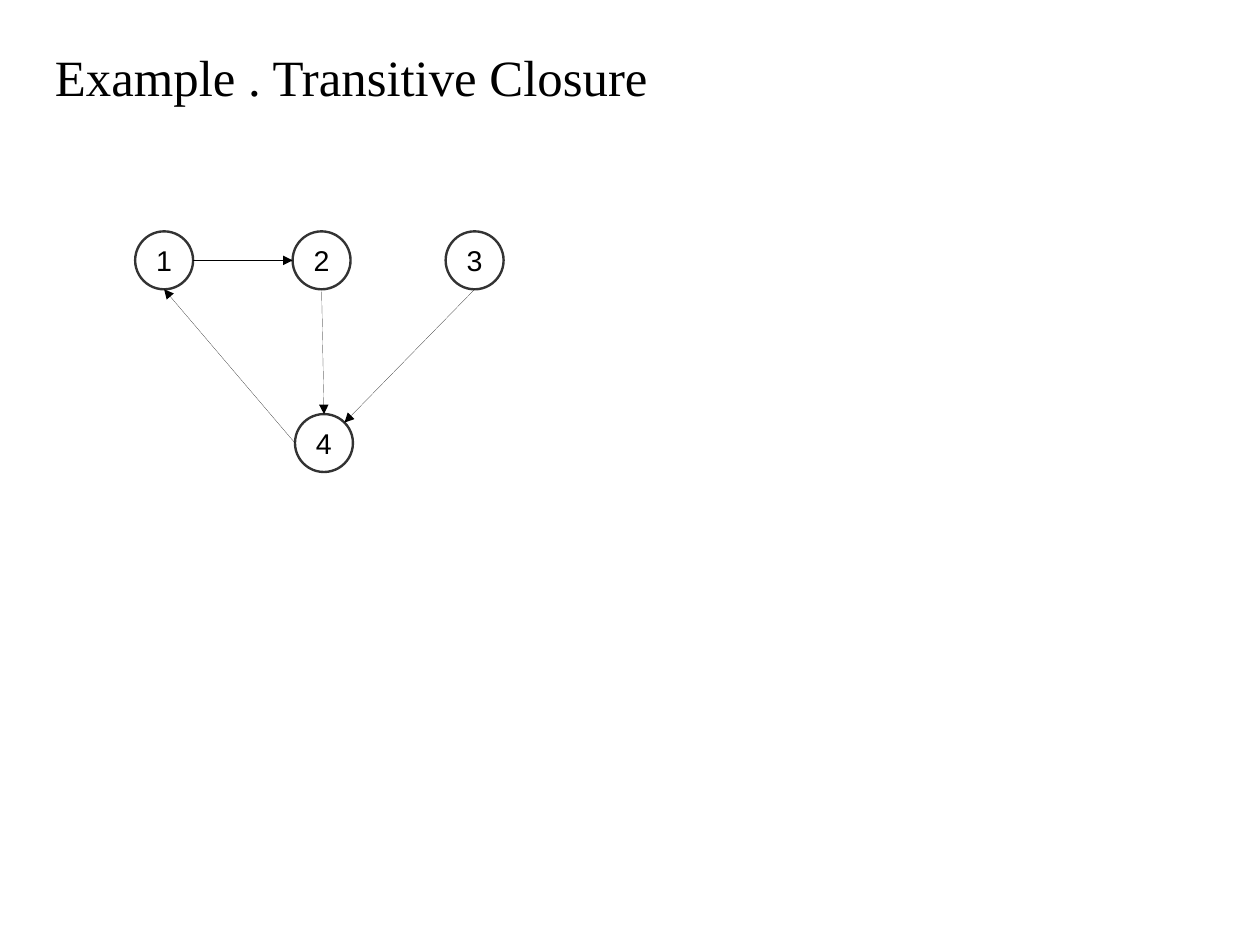
"""Builds a slide showing a directed graph as a transitive closure example."""
import math
from dataclasses import dataclass

import lxml.etree
import pptx
import pptx.dml.color
import pptx.enum.shapes
import pptx.enum.text
import pptx.oxml.ns
import pptx.util

Pt = pptx.util.Pt
RGB = pptx.dml.color.RGBColor

TITLE = "Example . Transitive Closure"
NODE_CENTERS = {
    "1": (103.4, 164),
    "2": (202.6, 164),
    "3": (299, 164),
    "4": (204.1, 279.1),
}
EDGES = [
    ("1", "right", "2", "left"),
    ("2", "bottom", "4", "top"),
    ("3", "bottom", "4", "top right"),
    ("4", "left", "1", "bottom"),
]
SIDE_ANGLES = {"right": 0, "bottom": 90, "left": 180, "top": 270, "top right": 315}
SLIDE_SIZE = (793.7, 595.28)
TITLE_BOX = (34.6, 23.8, 714.2, 48.2)
NODE_SIZE = 36.5


@dataclass(frozen=True)
class Theme:
    ink: RGB = RGB(0, 0, 0)
    outline: RGB = RGB(0x33, 0x33, 0x33)
    title_font: str = "Times New Roman"
    node_font: str = "Arial"
    title_size: int = 32
    node_size: int = 18
    outline_width: float = 1.5
    edge_width: int = 0


THEME = Theme()


def write_text(shape, text, font, size, align, wrap):
    frame = shape.text_frame
    frame.text = text
    frame.word_wrap = wrap
    frame.vertical_anchor = pptx.enum.text.MSO_ANCHOR.MIDDLE
    para = frame.paragraphs[0]
    para.alignment = align
    span = para.runs[0]
    span.font.name = font
    span.font.size = Pt(size)
    span.font.color.rgb = THEME.ink


def add_title(slide):
    box = slide.shapes.add_textbox(*map(Pt, TITLE_BOX))
    write_text(box, TITLE, THEME.title_font, THEME.title_size,
               pptx.enum.text.PP_ALIGN.LEFT, True)
    frame = box.text_frame
    frame.margin_left = frame.margin_right = Pt(0)
    frame.margin_top = frame.margin_bottom = Pt(0)


def add_node(slide, label):
    x, y = NODE_CENTERS[label]
    radius = NODE_SIZE / 2
    node = slide.shapes.add_shape(
        pptx.enum.shapes.MSO_SHAPE.OVAL,
        Pt(x - radius), Pt(y - radius), Pt(NODE_SIZE), Pt(NODE_SIZE))
    node.shadow.inherit = False
    node.fill.background()
    node.line.color.rgb = THEME.outline
    node.line.width = Pt(THEME.outline_width)
    write_text(node, label, THEME.node_font, THEME.node_size,
               pptx.enum.text.PP_ALIGN.CENTER, False)


def rim_point(label, side):
    x, y = NODE_CENTERS[label]
    angle = math.radians(SIDE_ANGLES[side])
    radius = NODE_SIZE / 2
    return Pt(x + radius * math.cos(angle)), Pt(y + radius * math.sin(angle))


def add_edge(slide, source, source_side, target, target_side):
    edge = slide.shapes.add_connector(
        pptx.enum.shapes.MSO_CONNECTOR.STRAIGHT,
        *rim_point(source, source_side), *rim_point(target, target_side))
    edge.line.color.rgb = THEME.ink
    qn = pptx.oxml.ns.qn
    outline = edge.get_or_add_ln()
    outline.set("w", str(Pt(THEME.edge_width)))
    lxml.etree.SubElement(outline, qn("a:tailEnd"), type="triangle")
    lxml.etree.SubElement(edge._element.spPr, qn("a:effectLst"))


def main():
    deck = pptx.Presentation()
    deck.slide_width, deck.slide_height = map(Pt, SLIDE_SIZE)
    page = deck.slides.add_slide(deck.slide_layouts[6])
    add_title(page)
    for label in NODE_CENTERS:
        add_node(page, label)
    for edge in EDGES:
        add_edge(page, *edge)
    deck.save("out.pptx")


if __name__ == "__main__":
    main()
